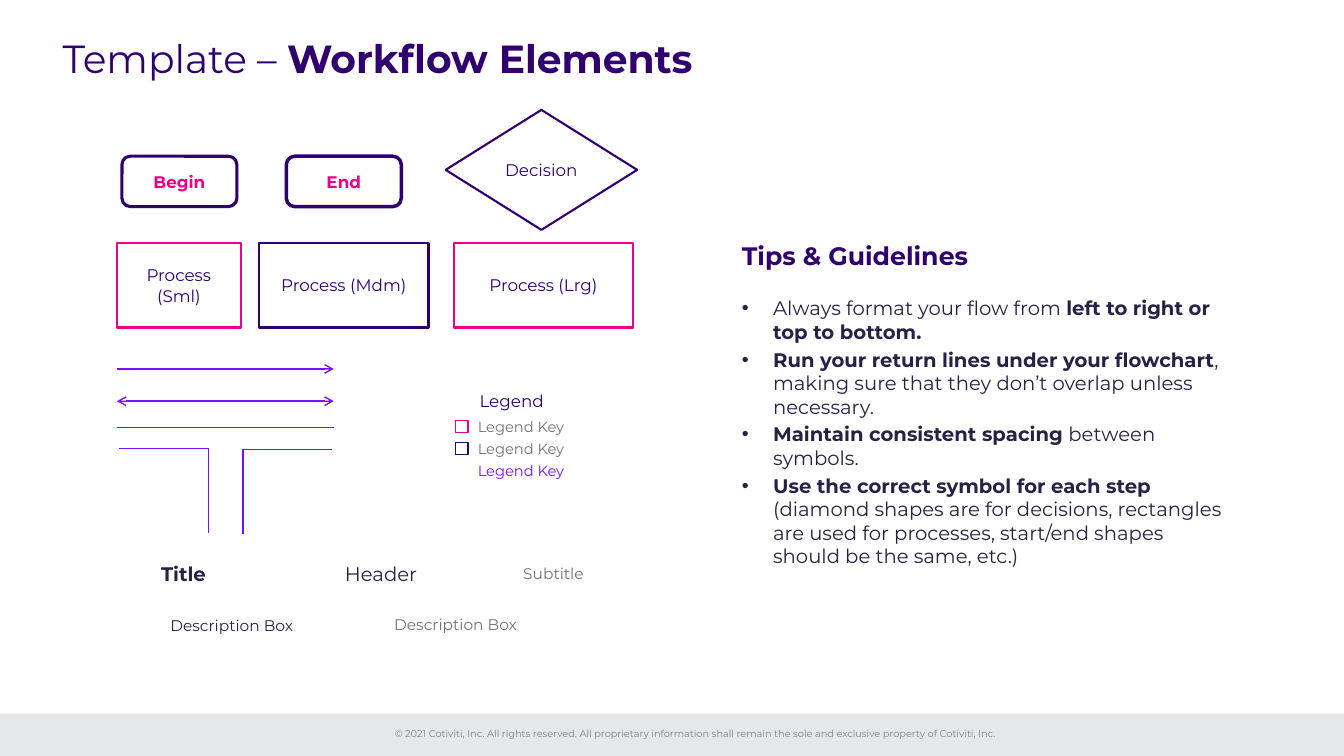
from lxml import etree
from pptx import Presentation
from pptx.dml.color import RGBColor
from pptx.enum.shapes import MSO_CONNECTOR, MSO_SHAPE as Preset
from pptx.enum.text import MSO_ANCHOR as Anchor, PP_ALIGN as Align
from pptx.oxml.ns import qn
from pptx.util import Inches, Pt

COLORS = {
    "white": "FFFFFF", "purple": "30006F", "pink": "EC008C", "violet": "7710FF",
    "ink": "252246", "gray": "767171", "footer": "808080", "band": "E6E7E8",
}

prs = Presentation()
prs.slide_width, prs.slide_height = Inches(13.33), Inches(7.5)
slide = prs.slides.add_slide(prs.slide_layouts[6])


def add_shape(preset, area, fill=None, line=None, weight=1):
    shape = slide.shapes.add_shape(preset, *map(Inches, area))
    shape.shadow.inherit = False
    if fill:
        shape.fill.solid()
        shape.fill.fore_color.rgb = RGBColor.from_string(COLORS[fill])
    else:
        shape.fill.background()
    if line:
        shape.line.color.rgb = RGBColor.from_string(COLORS[line])
        shape.line.width = Pt(weight)
    else:
        shape.line.fill.background()
    return shape


def write(target, paragraphs, size, color, bold=None, align=Align.CENTER,
          anchor=Anchor.MIDDLE, bullet=False, wrap=True):
    """Fill a shape, or a new text box; each paragraph is a list of (text, bold) runs or a string."""
    box = slide.shapes.add_textbox(*map(Inches, target)) if isinstance(target, tuple) else target
    frame = box.text_frame
    frame.word_wrap, frame.vertical_anchor = wrap, anchor
    for i, content in enumerate(paragraphs):
        paragraph = frame.add_paragraph() if i else frame.paragraphs[0]
        paragraph.alignment = align
        if bullet:
            paragraph.space_after = Pt(3)
            props = paragraph._p.get_or_add_pPr()
            props.set("marL", str(Inches(0.31)))
            props.set("indent", str(-Inches(0.31)))
            etree.SubElement(props, qn("a:buFont"), typeface="Arial")
            etree.SubElement(props, qn("a:buChar"), char="•")
        font = paragraph.font
        font.name, font.size, font.bold = "Montserrat", Pt(size), bold
        font.color.rgb = RGBColor.from_string(COLORS[color])
        for text, run_bold in [(content, None)] if isinstance(content, str) else content:
            run = paragraph.add_run()
            run.text = text
            if run_bold is not None:
                run.font.bold = run_bold
    return frame


# Footer band
add_shape(Preset.RECTANGLE, (0, 7.08, 13.33, 0.42), "band")
write((3.76, 7.17, 6.27, 0.22),
      ["© 2021 Cotiviti, Inc. All rights reserved. All proprietary information "
       "shall remain the sole and exclusive property of Cotiviti, Inc."],
      7, "footer", anchor=Anchor.TOP, wrap=False)

# Title
title = write((0.62, 0.25, 12.21, 0.7), [[("Template – ", False), ("Workflow Elements", True)]],
              28, "purple", align=Align.LEFT)
title.margin_left = title.margin_right = title.margin_top = title.margin_bottom = 0
title.paragraphs[0].line_spacing = 0.9

# Flowchart symbols
symbols = [
    ("Begin", Preset.ROUNDED_RECTANGLE, (1.21, 1.55, 1.14, 0.5), "purple", 2.25, "pink", True),
    ("End", Preset.ROUNDED_RECTANGLE, (2.84, 1.55, 1.14, 0.5), "purple", 2.5, "pink", True),
    ("Decision", Preset.DIAMOND, (4.42, 1.09, 1.9, 1.19), "purple", 1.5, "purple", False),
    ("Process (Sml)", Preset.RECTANGLE, (1.16, 2.41, 1.23, 0.84), "pink", 1.5, "purple", False),
    ("Process (Mdm)", Preset.RECTANGLE, (2.57, 2.41, 1.68, 0.84), "purple", 1.5, "purple", False),
    ("Process (Lrg)", Preset.RECTANGLE, (4.5, 2.41, 1.78, 0.84), "pink", 1.5, "purple", False),
]
for label, preset, area, outline, weight, color, bold in symbols:
    write(add_shape(preset, area, "white", outline, weight), [label], 12, color, bold)

# Legend
write((4.5, 3.92, 1.15, 0.12), ["Legend"], 12, "purple")
for row, (key_color, text_color) in enumerate([("pink", "gray"), ("purple", "gray"), (None, "violet")]):
    top = 4.17 + 0.22 * row
    if key_color:
        add_shape(Preset.RECTANGLE, (4.52, top, 0.12, 0.12), line=key_color)
    write((4.64, top, 1.15, 0.12), ["Legend Key"], 10.5, text_color, align=Align.LEFT)

# Flow lines, each with the ends that carry an arrowhead
flow_lines = [
    ((1.16, 3.66, 3.31, 3.66), ["tailEnd"]),
    ((1.16, 3.98, 3.31, 3.98), ["headEnd", "tailEnd"]),
    ((1.16, 4.24, 3.31, 4.24), []),
    ((1.18, 4.45, 2.07, 4.45), []),
    ((2.07, 4.44, 2.07, 5.29), []),
    ((3.29, 4.46, 2.41, 4.46), []),
    ((2.41, 4.45, 2.41, 5.3), []),
]
for ends, arrowheads in flow_lines:
    flow = slide.shapes.add_connector(MSO_CONNECTOR.STRAIGHT, *map(Inches, ends))
    flow.line.color.rgb = RGBColor.from_string(COLORS["violet"])
    flow.line.width = Pt(1)
    for end in arrowheads:
        etree.SubElement(flow.line._get_or_add_ln(), qn(f"a:{end}"), type="arrow")
    etree.SubElement(flow._element.spPr, qn("a:effectLst"))

# Text styles
for label, left, size, color, bold in [("Title", 0.65, 14, "ink", True),
                                       ("Header", 2.61, 14, "ink", False),
                                       ("Subtitle", 4.32, 11, "gray", False)]:
    write((left, 5.52, 2.34, 0.34), [label], size, color, bold)
for left, top, color in [(1.13, 6.06, "ink"), (3.35, 6.05, "gray")]:
    write((left, top, 2.34, 0.96), ["Description Box"], 11, color, anchor=Anchor.TOP)

# Tips and guidelines
write((7.26, 2.33, 4.8, 0.48), ["Tips & Guidelines"], 18, "purple", True, Align.LEFT, Anchor.TOP)
tips = [
    [("Always format your flow from ", False), ("left to right or top to bottom.", True)],
    [("Run your return lines under your flowchart", True),
     (", making sure that they don’t overlap unless necessary.", False)],
    [("Maintain consistent spacing", True), (" between symbols.", False)],
    [("Use the correct symbol for each step ", True),
     ("(diamond shapes are for decisions, rectangles are used for processes, "
      "start/end shapes should be the same, etc.)", False)],
]
write((7.26, 2.89, 5.06, 2.67), tips, 14, "ink", align=Align.LEFT, anchor=Anchor.TOP, bullet=True)

prs.save("out.pptx")
